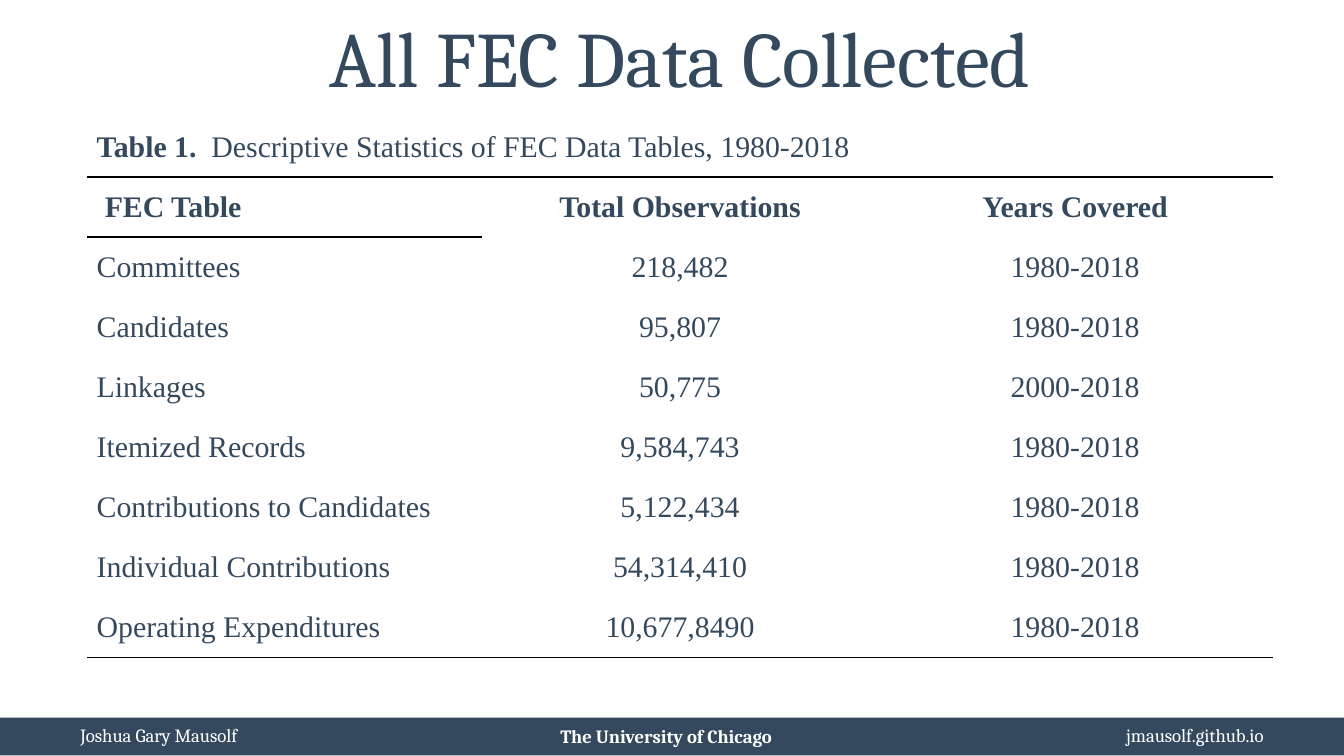
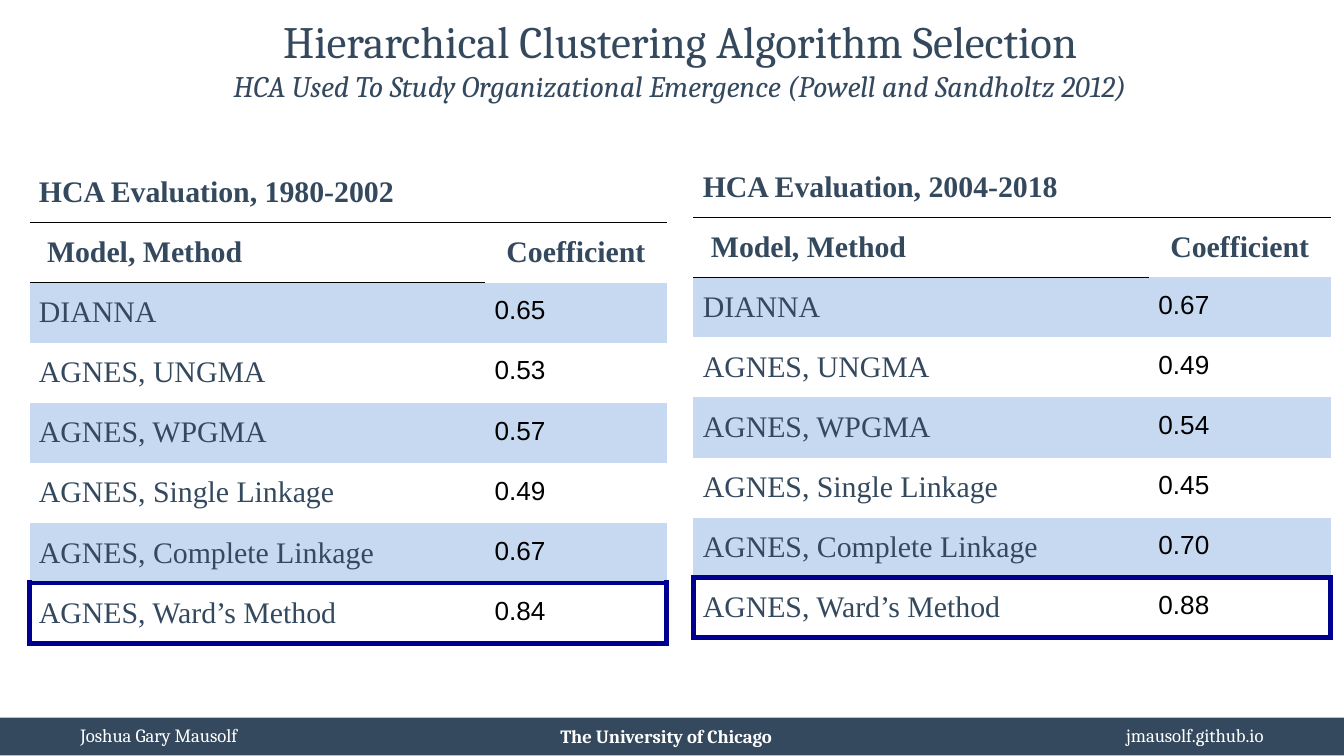
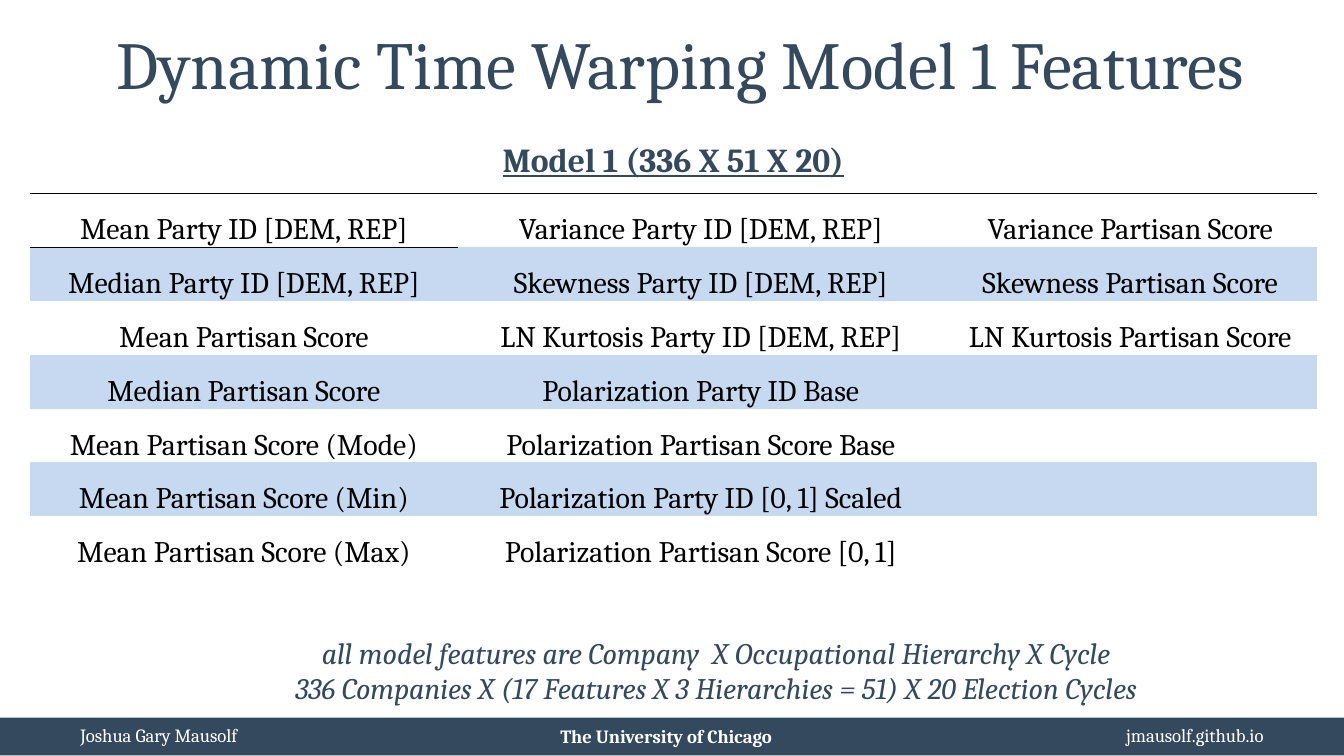
from dataclasses import dataclass

from lxml.etree import SubElement
from pptx import Presentation
from pptx.dml.color import RGBColor as Rgb
from pptx.enum.shapes import MSO_SHAPE as Shape
from pptx.enum.text import MSO_ANCHOR as Anchor, PP_ALIGN as Align
from pptx.oxml.ns import qn
from pptx.util import Inches, Pt


@dataclass(frozen=True)
class Theme:
    ink: str = "34495E"
    white: str = "FFFFFF"
    black: str = "000000"
    band: str = "C6D9F1"
    mark: str = "000090"
    serif: str = "Cambria"
    times: str = "Times New Roman"
    sans: str = "Arial"
    foot: int = 10
    coef: int = 14
    body: int = 16
    head: int = 18
    sub: int = 24
    wide: int = 36
    big: int = 42


T = Theme()
EDGES = ["a:lnL", "a:lnR", "a:lnT", "a:lnB"]
PLAIN = "{2D5ABB26-0587-4C30-8999-92F81FD0307C}"


def style(name, size, tone, **more):
    return {"name": name, "size": Pt(size), "tone": tone, **more}


# Text styles
TIMES = style(T.times, T.body, T.ink)
STRONG = {**TIMES, "bold": True}
COEF = style(T.sans, T.coef, T.black)
ITEM = style(T.serif, T.body, T.black)
NOTE = style(T.serif, T.body, T.ink, italic=True)
MODEL = style(T.serif, T.head, T.ink, bold=True, underline=True)
FOOT = style(T.serif, T.foot, T.white)


# Text
def put_run(para, text, fmt):
    run = para.add_run()
    run.text = text
    for key, val in fmt.items():
        if key == "tone":
            run.font.color.rgb = Rgb.from_string(val)
        else:
            setattr(run.font, key, val)


def add_text(slide, at, lines, fmt, align=Align.CENTER, anchor=Anchor.MIDDLE):
    frame = slide.shapes.add_textbox(*map(Inches, at)).text_frame
    frame.word_wrap = True
    frame.vertical_anchor = anchor
    for i, line in enumerate(lines):
        para = frame.add_paragraph() if i else frame.paragraphs[0]
        para.alignment = align
        put_run(para, line, fmt)
    return frame


def add_title(slide, text, size, sub=None):
    frame = add_text(slide, (0.22, 0.11, 9.68, 0.76), [text],
                     style(T.serif, size, T.ink), anchor=Anchor.BOTTOM)
    frame.margin_top = frame.margin_bottom = Inches(0.1)
    if sub:
        para = frame.paragraphs[0]
        para.add_line_break()
        put_run(para, sub, NOTE)


def add_foot(slide):
    bar = slide.shapes.add_shape(
        Shape.RECTANGLE, *map(Inches, (0, 5.34, 10, 0.28)))
    bar.shadow.inherit = False
    bar.fill.solid()
    bar.fill.fore_color.rgb = Rgb.from_string(T.ink)
    bar.line.fill.background()
    add_text(slide, (2.45, 5.27, 5.01, 0.41), ["The University of Chicago"],
             {**FOOT, "bold": True})
    add_text(slide, (7.86, 5.32, 1.64, 0.3), ["jmausolf.github.io"],
             FOOT, Align.RIGHT)
    add_text(slide, (0.5, 5.32, 2.07, 0.3), ["Joshua Gary Mausolf"],
             FOOT, Align.LEFT)


# Tables
def add_grid(slide, left, top, cols, count):
    """Place a plain table whose first row is one merged caption cell."""
    high = 0.4
    grid = slide.shapes.add_table(
        count, len(cols), Inches(left), Inches(top),
        Inches(sum(cols)), Inches(high * count)).table
    grid.first_row = grid.horz_banding = False
    grid._tbl.tblPr.find(qn("a:tableStyleId")).text = PLAIN
    for col, wide in zip(grid.columns, cols):
        col.width = Inches(wide)
    for cell in grid.iter_cells():
        cell.fill.background()
    grid.cell(0, 0).merge(grid.cell(0, len(cols) - 1))
    return grid


def put_cell(cell, runs, align=Align.LEFT, pad=(0.07, 0.1, 0.07, 0.08),
             anchor=Anchor.TOP):
    sides = ("left", "top", "right", "bottom")
    for side, gap in zip(sides, pad):
        setattr(cell, f"margin_{side}", Inches(gap))
    cell.vertical_anchor = anchor
    para = cell.text_frame.paragraphs[0]
    para.alignment = align
    for text, fmt in runs:
        put_run(para, text, fmt)


def put_heads(grid, heads):
    for i, head in enumerate(heads):
        pad = (0.07 if i else 0.13, 0.1, 0.07, 0.08)
        put_cell(grid.cell(1, i), [(head, STRONG)],
                 Align.CENTER if i else Align.LEFT, pad)


def tint(grid, rows):
    for r in rows:
        for cell in grid.rows[r].cells:
            cell.fill.solid()
            cell.fill.fore_color.rgb = Rgb.from_string(T.band)


def edge(cell, tag, tone, width):
    props = cell._tc.get_or_add_tcPr()
    line = SubElement(props, qn(tag), w=str(Pt(width)))
    fill = SubElement(line, qn("a:solidFill"))
    SubElement(fill, qn("a:srgbClr"), val=tone)
    before = EDGES[:EDGES.index(tag)]
    props.insert(sum(props.find(qn(t)) is not None for t in before), line)


def rule(grid, row, tone=T.black, width=1):
    """Draw a line under a row, on both cells that share it."""
    for c, cell in enumerate(grid.rows[row].cells):
        if cell.is_spanned:
            continue
        edge(cell, "a:lnB", tone, width)
        if row + 1 < len(grid.rows):
            edge(grid.cell(row + 1, c), "a:lnT", tone, width)


def add_stats(slide, data):
    grid = add_grid(slide, 0.65, 0.87, [2.94] * 3, len(data) + 2)
    put_cell(grid.cell(0, 0), [
        ("Table 1.  ", STRONG),
        ("Descriptive Statistics of FEC Data Tables, 1980-2018", TIMES)])
    put_heads(grid, ["FEC Table", "Total Observations", "Years Covered"])
    for r, row in enumerate(data, 2):
        for c, text in enumerate(row):
            put_cell(grid.cell(r, c), [(text, TIMES)],
                     Align.CENTER if c else Align.LEFT)
    rule(grid, 0)
    rule(grid, len(data) + 1)


def add_scores(slide, left, top, years, names, coefs):
    last = len(names) + 1
    grid = add_grid(slide, left, top, [3.39, 1.35], last + 1)
    put_cell(grid.cell(0, 0), [(f"HCA Evaluation, {years}", STRONG)])
    put_heads(grid, ["Model, Method", "Coefficient"])
    for r, (name, coef) in enumerate(zip(names, coefs), 2):
        put_cell(grid.cell(r, 0), [(name, TIMES)])
        put_cell(grid.cell(r, 1), [(coef, COEF)])
    tint(grid, range(2, last, 2))
    rule(grid, 0)
    # Frame around the chosen method
    for row in (last - 1, last):
        rule(grid, row, T.mark, 3)
    edge(grid.cell(last, 0), "a:lnL", T.mark, 3)
    edge(grid.cell(last, 1), "a:lnR", T.mark, 3)


def add_items(slide, caption, cols):
    count = max(map(len, cols)) + 1
    grid = add_grid(slide, 0.22, 0.96, [3.19, 3.61, 2.78], count)
    put_cell(grid.cell(0, 0), [(caption, MODEL)], Align.CENTER)
    for c, items in enumerate(cols):
        for r, item in enumerate(items, 1):
            put_cell(grid.cell(r, c), [(item, ITEM)], Align.CENTER,
                     (0.01, 0.01, 0.01, 0), Anchor.BOTTOM)
    tint(grid, range(2, count, 2))
    rule(grid, 0, width=0.5)


# Content
STATS = [
    ("Committees", "218,482", "1980-2018"),
    ("Candidates", "95,807", "1980-2018"),
    ("Linkages", "50,775", "2000-2018"),
    ("Itemized Records", "9,584,743", "1980-2018"),
    ("Contributions to Candidates", "5,122,434", "1980-2018"),
    ("Individual Contributions", "54,314,410", "1980-2018"),
    ("Operating Expenditures", "10,677,8490", "1980-2018"),
]
METHODS = ["DIANNA", "AGNES, UNGMA", "AGNES, WPGMA", "AGNES, Single Linkage",
           "AGNES, Complete Linkage", "AGNES, Ward’s Method"]
SCORES = [
    (0.22, 1.21, "1980-2002", ["0.65", "0.53", "0.57", "0.49", "0.67", "0.84"]),
    (5.16, 1.17, "2004-2018", ["0.67", "0.49", "0.54", "0.45", "0.70", "0.88"]),
]
ITEMS = [
    ["Mean Party ID [DEM, REP]", "Median Party ID [DEM, REP]",
     "Mean Partisan Score", "Median Partisan Score",
     "Mean Partisan Score (Mode)", "Mean Partisan Score (Min)",
     "Mean Partisan Score (Max)"],
    ["Variance Party ID [DEM, REP]", "Skewness Party ID [DEM, REP]",
     "LN Kurtosis Party ID [DEM, REP]", "Polarization Party ID Base",
     "Polarization Partisan Score Base", "Polarization Party ID [0, 1] Scaled",
     "Polarization Partisan Score [0, 1]"],
    ["Variance Partisan Score", "Skewness Partisan Score",
     "LN Kurtosis Partisan Score"],
]
NOTES = ["all model features are Company  X Occupational Hierarchy X Cycle",
         "336 Companies X (17 Features X 3 Hierarchies = 51) X 20 Election Cycles"]


def add_slide(deck, title, size, sub=None):
    slide = deck.slides.add_slide(deck.slide_layouts[6])
    add_foot(slide)
    add_title(slide, title, size, sub)
    return slide


def main():
    # Wide 16:9 page
    deck = Presentation()
    deck.slide_width = Inches(10)
    deck.slide_height = Inches(10 * 9 / 16)

    # Collected data
    slide = add_slide(deck, "All FEC Data Collected", T.big)
    add_stats(slide, STATS)

    # Algorithm choice
    slide = add_slide(
        deck, "Hierarchical Clustering Algorithm Selection", T.sub,
        "HCA Used To Study Organizational Emergence (Powell and Sandholtz 2012)")
    for left, top, years, coefs in SCORES:
        add_scores(slide, left, top, years, METHODS, coefs)

    # Model features
    slide = add_slide(deck, "Dynamic Time Warping Model 1 Features", T.wide)
    add_items(slide, "Model 1 (336 X 51 X 20)", ITEMS)
    add_text(slide, (1.51, 4.67, 7.64, 0.88), NOTES, NOTE, anchor=Anchor.TOP)

    deck.save("out.pptx")


if __name__ == "__main__":
    main()
